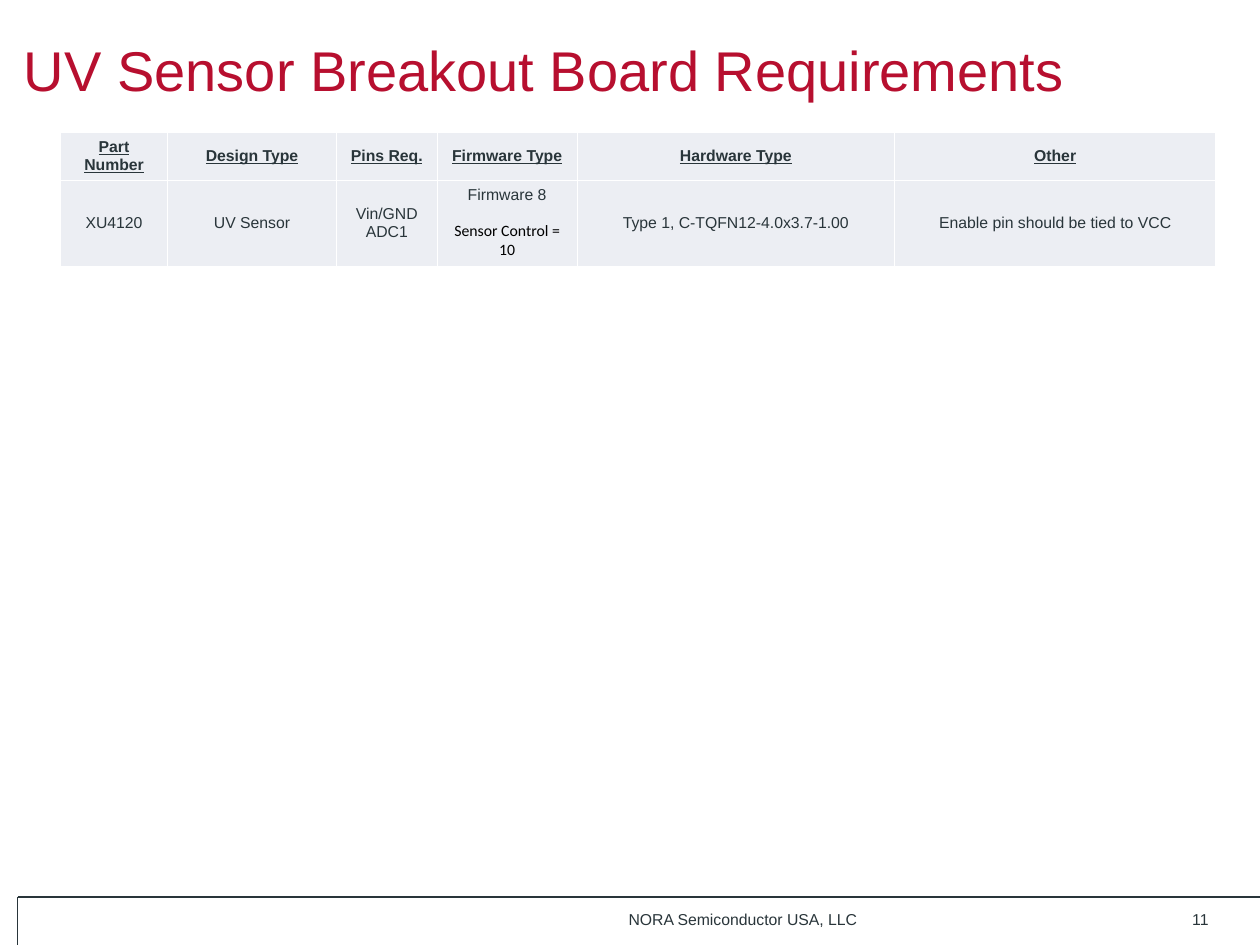
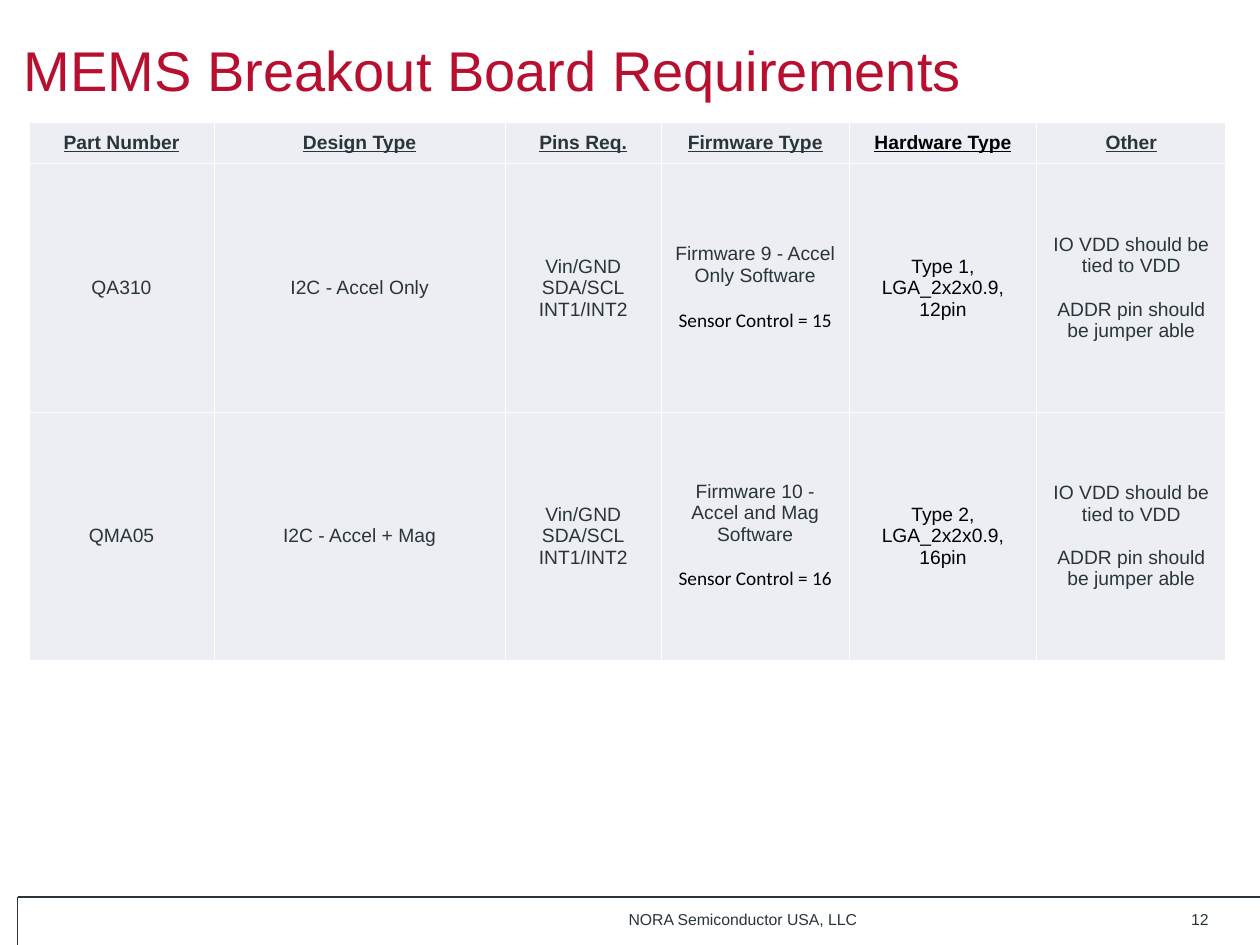
from lxml.etree import SubElement
from pptx import Presentation
from pptx.dml.color import RGBColor
from pptx.enum.shapes import MSO_CONNECTOR
from pptx.enum.text import MSO_ANCHOR, MSO_AUTO_SIZE, PP_ALIGN
from pptx.oxml import parse_xml
from pptx.oxml.ns import nsdecls, qn
from pptx.util import Inches, Pt

RED = RGBColor(0xB7, 0x0F, 0x2F)
SLATE = RGBColor(0x29, 0x35, 0x3A)
BLACK = RGBColor(0, 0, 0)
PALE = RGBColor(0xEC, 0xEE, 0xF3)
WHITE = RGBColor(0xFF, 0xFF, 0xFF)

WIDTH, HEIGHT = 10, 7.5
RULE_X, RULE_Y = 0.14, 7.12
FOOTER_Y, FOOTER_H = 7.17, 0.33
FOOTER = "NORA Semiconductor USA, LLC"
FIRST_NUMBER = 11
CONTROL = "Sensor Control"
HARDWARE_COL = 4

HEADERS = ["Part Number", "Design Type", "Pins Req.", "Firmware Type", "Hardware Type", "Other"]
MEMS_PINS = "Vin/GND\nSDA/SCL\nINT1/INT2"
MEMS_NOTE = "IO VDD should be tied to VDD\n\nADDR pin should be jumper able"

SLIDES = [
    {
        "title": "UV Sensor Breakout Board Requirements",
        "origin": (0.48, 1.05),
        "cols": [0.85, 1.34, 0.8, 1.11, 2.52, 2.55],
        "heights": [0.38, 0.68],
        "size": 9,
        "hardware": SLATE,
        "rows": [
            ["XU4120", "UV Sensor", "Vin/GND\nADC1", "Firmware 8\n\nSensor Control = 10",
             "Type 1, C-TQFN12-4.0x3.7-1.00", "Enable pin should be tied to VCC"],
        ],
    },
    {
        "title": "MEMS Breakout Board Requirements",
        "origin": (0.23, 0.97),
        "cols": [1.47, 2.31, 1.24, 1.49, 1.49, 1.5],
        "heights": [0.33, 1.97, 1.97],
        "size": 11,
        "hardware": BLACK,
        "rows": [
            ["QA310", "I2C - Accel Only", MEMS_PINS,
             "Firmware 9 - Accel Only Software\n\nSensor Control = 15",
             "Type 1, LGA_2x2x0.9, 12pin", MEMS_NOTE],
            ["QMA05", "I2C - Accel + Mag", MEMS_PINS,
             "Firmware 10 - Accel and Mag Software\n\nSensor Control = 16",
             "Type 2, LGA_2x2x0.9, 16pin", MEMS_NOTE],
        ],
    },
]


def style(p, size, color, align=PP_ALIGN.LEFT, font="Arial", heading=False):
    p.alignment = align
    for r in p.runs:
        r.font.name, r.font.size = font, Pt(size)
        r.font.color.rgb = color
        r.font.bold = r.font.underline = heading


def add_title(s, text):
    sp = s.shapes.title
    sp.left, sp.top, sp.width, sp.height = map(Inches, (0.09, 0, 8.85, 1.09))
    tf = sp.text_frame
    tf.text = text
    tf.auto_size = MSO_AUTO_SIZE.NONE
    tf.vertical_anchor = MSO_ANCHOR.MIDDLE
    style(tf.paragraphs[0], 32, RED)


def add_rule(s, x, y):
    line = s.shapes.add_connector(MSO_CONNECTOR.STRAIGHT, *map(Inches, (RULE_X, RULE_Y, x, y)))
    line.line.color.rgb, line.line.width = SLATE, Pt(0.75)
    SubElement(line._element.spPr, qn("a:effectLst"))


def add_footer_text(s, text, left, width, align):
    sp = s.shapes.add_textbox(*map(Inches, (left, FOOTER_Y, width, FOOTER_H)))
    tf = sp.text_frame
    tf.word_wrap = True
    tf.text = text
    style(tf.paragraphs[0], 9, SLATE, align)


def add_frame(s, number):
    add_rule(s, WIDTH, RULE_Y)
    add_rule(s, RULE_X, HEIGHT)
    add_footer_text(s, FOOTER, 4.89, 2.22, PP_ALIGN.LEFT)
    add_footer_text(s, str(number), 8.77, 0.92, PP_ALIGN.RIGHT)


def add_borders(cell):
    tc_pr = cell._tc.get_or_add_tcPr()
    for i, side in enumerate(("lnL", "lnR", "lnT", "lnB")):
        tc_pr.insert(i, parse_xml(
            f'<a:{side} {nsdecls("a")} w="{Pt(0.45)}"><a:solidFill>'
            f'<a:srgbClr val="{WHITE}"/></a:solidFill></a:{side}>'))


def fill_cell(cell, text, size, color, heading):
    cell.fill.solid()
    cell.fill.fore_color.rgb = PALE
    cell.vertical_anchor = MSO_ANCHOR.MIDDLE
    cell.margin_left = cell.margin_right = Inches(0.09)
    cell.margin_top = cell.margin_bottom = Inches(0.04)
    add_borders(cell)
    tf = cell.text_frame
    lines = [(line, b > 0 and i == 0)
             for b, block in enumerate(text.split("\n\n"))
             for i, line in enumerate(block.split("\n"))]
    tf.text = "\n".join(line for line, _ in lines)
    for p, (line, gap) in zip(tf.paragraphs, lines):
        if gap:
            p.space_before = Pt(round(size * 1.15, 1))
        if line.startswith(CONTROL):
            style(p, size, BLACK, PP_ALIGN.CENTER, "Calibri")
        else:
            style(p, size, color, PP_ALIGN.CENTER, heading=heading)


def add_requirements(s, data):
    rows = [HEADERS] + data["rows"]
    box = (*data["origin"], sum(data["cols"]), sum(data["heights"]))
    table = s.shapes.add_table(len(rows), len(HEADERS), *map(Inches, box)).table
    table.first_row = table.horz_banding = False
    for col, width in zip(table.columns, data["cols"]):
        col.width = Inches(width)
    for row, height in zip(table.rows, data["heights"]):
        row.height = Inches(height)
    for i, row in enumerate(rows):
        for j, text in enumerate(row):
            color = data["hardware"] if j == HARDWARE_COL else SLATE
            fill_cell(table.cell(i, j), text, data["size"], color, i == 0)


def main():
    prs = Presentation()
    prs.slide_width, prs.slide_height = Inches(WIDTH), Inches(HEIGHT)
    for number, data in enumerate(SLIDES, FIRST_NUMBER):
        s = prs.slides.add_slide(prs.slide_layouts[5])
        add_title(s, data["title"])
        add_frame(s, number)
        add_requirements(s, data)
    prs.save("out.pptx")


if __name__ == "__main__":
    main()
